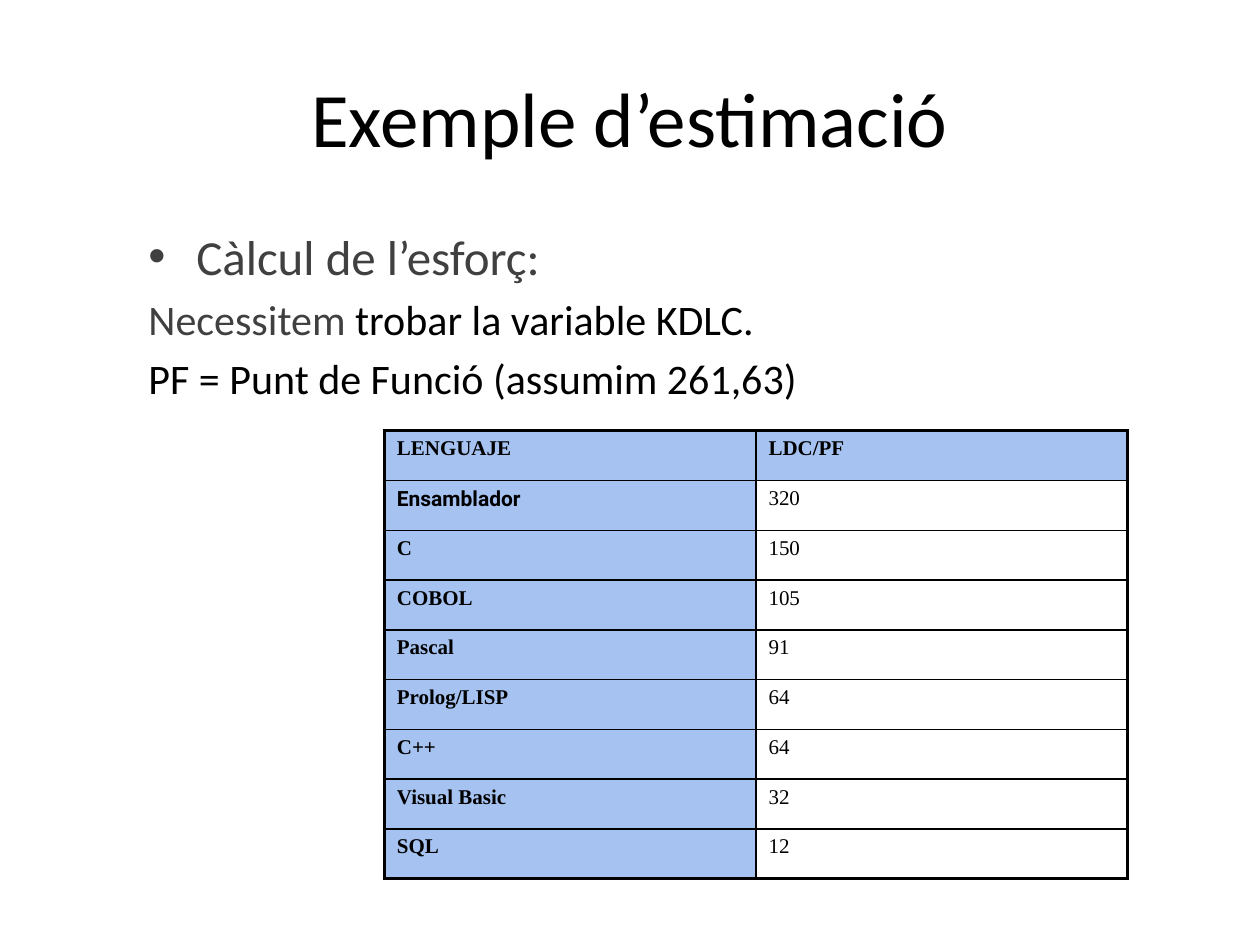
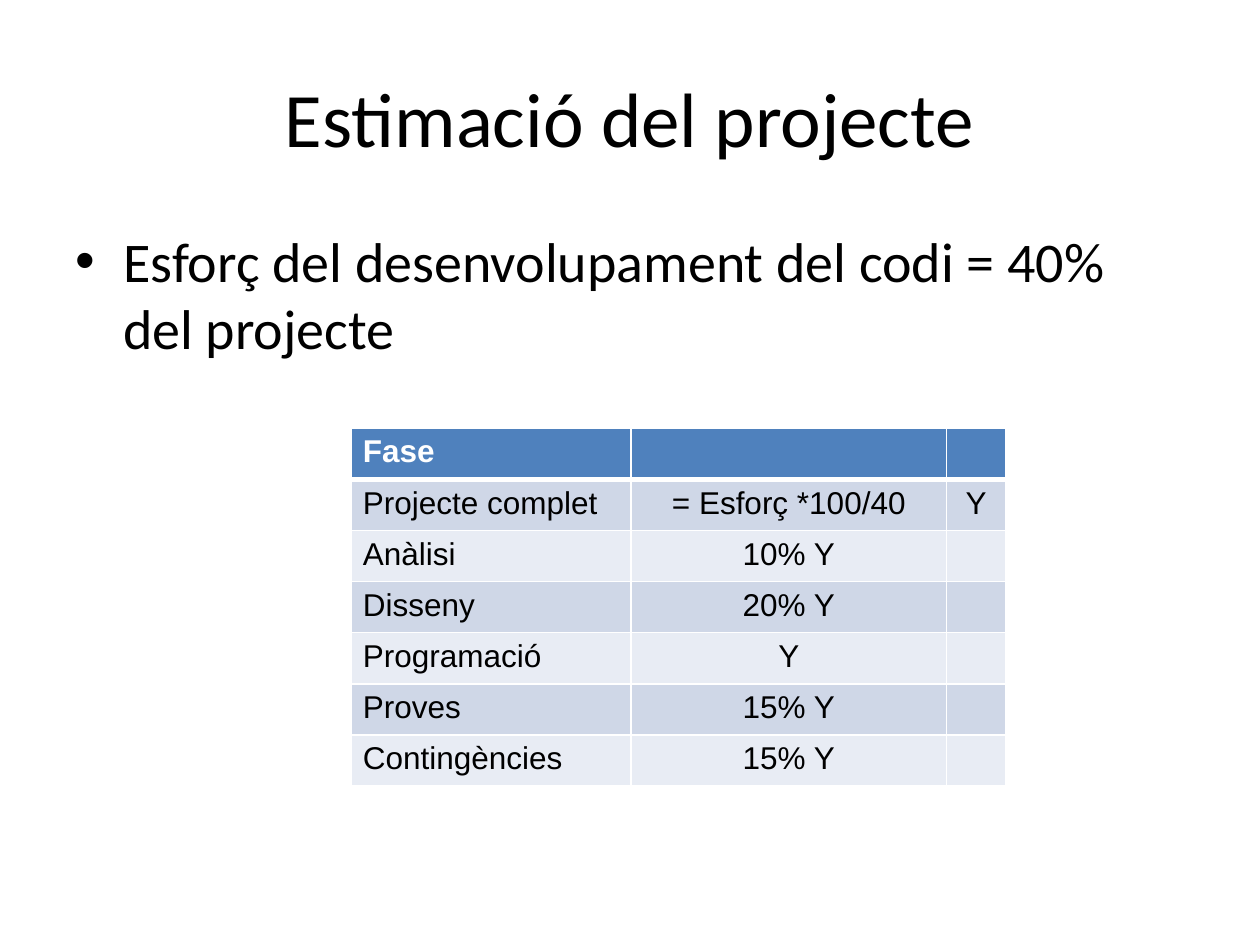
import pptx
import pptx.util
import pptx.dml.color
import pptx.enum.text
import pptx.oxml.ns
import lxml.etree

RGB = pptx.dml.color.RGBColor
Inches, Pt = pptx.util.Inches, pptx.util.Pt
ALIGN, ANCHOR = pptx.enum.text.PP_ALIGN, pptx.enum.text.MSO_ANCHOR
qn = pptx.oxml.ns.qn

BLACK = RGB(0x00, 0x00, 0x00)
WHITE = RGB(0xFF, 0xFF, 0xFF)
GREY = RGB(0x40, 0x40, 0x40)
LIGHT_BLUE = RGB(0xA5, 0xC2, 0xF1)
HEADER_BLUE = RGB(0x4F, 0x81, 0xBD)
BANDS = (RGB(0xCF, 0xD7, 0xE7), RGB(0xE8, 0xEC, 0xF4))

WIDTH, HEIGHT = 10, 7.5
TITLE_BOX = (0.05, 0.04, 0.9, 1 / 6)  # shares of the slide's size
BODY_TOP, BODY_HEIGHT = 0.233, 0.66
HANG = 0.38

LANGUAGES = [
    ("LENGUAJE", "LDC/PF"), ("Ensamblador", "320"), ("C", "150"),
    ("COBOL", "105"), ("Pascal", "91"), ("Prolog/LISP", "64"),
    ("C++", "64"), ("Visual Basic", "32"), ("SQL", "12"),
]
PHASES = [
    ("Fase", "", ""), ("Projecte complet", "= Esforç *100/40", "Y"),
    ("Anàlisi", "10% Y", ""), ("Disseny", "20% Y", ""),
    ("Programació", "Y", ""), ("Proves", "15% Y", ""),
    ("Contingències", "15% Y", ""),
]


def place(box):
    """Turn shares of the slide into lengths."""
    x, y, w, h = box
    return (Inches(x * WIDTH), Inches(y * HEIGHT),
            Inches(w * WIDTH), Inches(h * HEIGHT))


def set_font(p, name, size, color=None, bold=False):
    p.font.name, p.font.size, p.font.bold = name, Pt(size), bold
    if color is not None:
        p.font.color.rgb = color


def add_titled_slide(prs, title):
    slide = prs.slides.add_slide(prs.slide_layouts[5])
    sp = slide.shapes.title
    sp.left, sp.top, sp.width, sp.height = place(TITLE_BOX)
    tf = sp.text_frame
    tf.text = title
    tf.vertical_anchor = ANCHOR.MIDDLE
    p = tf.paragraphs[0]
    p.alignment = ALIGN.CENTER
    set_font(p, "Calibri", 44, BLACK)
    return slide


def add_body(slide, box, lines):
    """Each line is a size, a bullet flag and its (text, colour) runs."""
    tf = slide.shapes.add_textbox(*place(box)).text_frame
    tf.word_wrap = True
    for i, (size, bullet, runs) in enumerate(lines):
        p = tf.add_paragraph() if i else tf.paragraphs[0]
        p.space_before = Pt(4.8 if i else 0)
        set_font(p, "Calibri", size)
        for text, color in runs:
            r = p.add_run()
            r.text = text
            r.font.color.rgb = color
        if bullet:
            pPr = p._p.get_or_add_pPr()
            pPr.set("marL", str(Inches(HANG)))
            pPr.set("indent", str(-Inches(HANG)))
            font = lxml.etree.Element(qn("a:buFont"), typeface="Arial")
            mark = lxml.etree.Element(qn("a:buChar"), char="•")
            place_at = pPr.index(pPr.find(qn("a:defRPr")))
            pPr.insert(place_at, font)
            pPr.insert(place_at + 1, mark)


def set_borders(cell, color, widths):
    """Widths are in points, by side: L, R, T, B."""
    tcPr = cell._tc.get_or_add_tcPr()
    for side, width in zip("LRTB", widths):
        ln = lxml.etree.SubElement(tcPr, qn("a:ln" + side), w=str(Pt(width)))
        fill = lxml.etree.SubElement(ln, qn("a:solidFill"))
        lxml.etree.SubElement(fill, qn("a:srgbClr"), val=str(color))


def add_table(slide, box, column_widths, data, inset, style_cell):
    rows, cols = len(data), len(data[0])
    frame = slide.shapes.add_table(rows, cols, *place(box))
    table = frame.table
    table.first_row = table.horz_banding = False
    for column, share in zip(table.columns, column_widths):
        column.width = int(frame.width * share)
    for r, values in enumerate(data):
        for c, value in enumerate(values):
            cell = table.cell(r, c)
            cell.text = value
            cell.margin_left = cell.margin_right = Inches(inset)
            cell.margin_top = cell.margin_bottom = Inches(0.05)
            style_cell(cell, r, c)


def style_language(cell, r, c):
    """Thick outer frame, blue header row and first column."""
    last = len(LANGUAGES) - 1
    set_borders(cell, BLACK, (2 if c == 0 else 1, 2 if c == 1 else 1,
                              2 if r == 0 else 1, 2 if r == last else 1))
    heading = r == 0 or c == 0
    if heading:
        cell.fill.solid()
        cell.fill.fore_color.rgb = LIGHT_BLUE
    else:
        cell.fill.background()
    name = "Roboto" if cell.text == "Ensamblador" else "Times New Roman"
    set_font(cell.text_frame.paragraphs[0], name, 12, BLACK, heading)


def style_phase(cell, r, c):
    """White grid, blue header and alternating bands."""
    set_borders(cell, WHITE, (1, 1, 3 if r == 1 else 1, 3 if r == 0 else 1))
    cell.fill.solid()
    cell.fill.fore_color.rgb = BANDS[(r - 1) % 2] if r else HEADER_BLUE
    p = cell.text_frame.paragraphs[0]
    p.alignment = ALIGN.CENTER if c else ALIGN.LEFT
    set_font(p, "Arial", 18, BLACK if r else WHITE, r == 0)


def build_example(prs):
    slide = add_titled_slide(prs, "Exemple d’estimació")
    # Effort calculation
    add_body(slide, (0.108, BODY_TOP, 0.739, BODY_HEIGHT), [
        (28, True, [("Càlcul de l’esforç:", GREY)]),
        (24, False, [("Necessitem ", GREY),
                     ("trobar la variable KDLC.", BLACK)]),
        (24, False, [("PF = Punt de Funció (assumim 261,63)", BLACK)]),
    ])
    # Lines of code per function point
    add_table(slide, (0.305, 0.456, 0.59, 0.474), (0.5, 0.5),
              LANGUAGES, 0.1, style_language)


def build_project(prs):
    slide = add_titled_slide(prs, "Estimació del projecte")
    # Share of coding
    add_body(slide, (0.05, BODY_TOP, 0.9, BODY_HEIGHT), [
        (32, True, [("Esforç del desenvolupament del codi = 40% del projecte",
                     BLACK)]),
    ])
    # Effort by phase
    add_table(slide, (0.279, 0.453, 0.479, 0.379), (0.463, 0.463, 0.074),
              PHASES, 0.09, style_phase)


def main():
    prs = pptx.Presentation()
    prs.slide_width, prs.slide_height = Inches(WIDTH), Inches(HEIGHT)
    build_example(prs)
    build_project(prs)
    prs.save("out.pptx")


if __name__ == "__main__":
    main()
